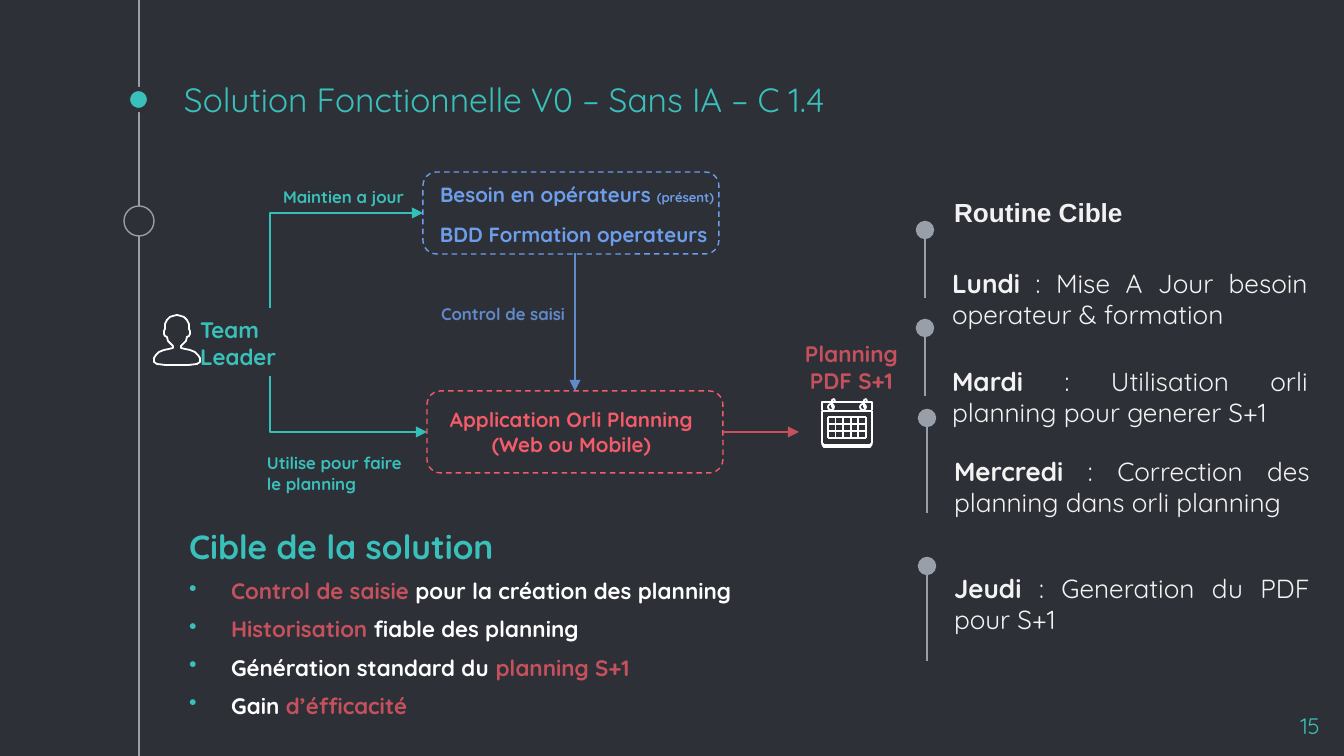
from lxml import etree
from pptx import Presentation
from pptx.dml.color import RGBColor
from pptx.enum.dml import MSO_LINE
from pptx.enum.shapes import MSO_CONNECTOR, MSO_SHAPE
from pptx.enum.text import MSO_ANCHOR, PP_ALIGN
from pptx.oxml.ns import qn
from pptx.util import Pt

PX = 914400 / 134.4
STRAIGHT, ELBOW = MSO_CONNECTOR.STRAIGHT, MSO_CONNECTOR.ELBOW
OVAL, ROUND_RECT = MSO_SHAPE.OVAL, MSO_SHAPE.ROUNDED_RECTANGLE
LEFT, CENTER, RIGHT, JUSTIFY = PP_ALIGN.LEFT, PP_ALIGN.CENTER, PP_ALIGN.RIGHT, PP_ALIGN.JUSTIFY
TOP, BOTTOM = MSO_ANCHOR.TOP, MSO_ANCHOR.BOTTOM
DASH = MSO_LINE.DASH
FONT = "Quicksand"
ICON_LINE = 0.96

COLORS = {
    "bg": "2E3037", "teal": "39C0BA", "arrow_teal": "34BFB9", "gray": "999FA9",
    "coral": "F35B69", "red": "C5515D", "blue": "6D9EEB", "arrow_blue": "618ACB",
    "white": "FFFFFF", "light": "F3F3F3", "heading": "F2F2F2",
}


def px(n):
    return round(n * PX)


def rgb(name):
    return RGBColor.from_string(COLORS[name])


def style_line(line, color, width):
    line.color.rgb = rgb(color)
    line.width = Pt(width)


def add_outline(slide, kind, box, color, width, fill=None, dash=None):
    sp = slide.shapes.add_shape(kind, *map(px, box))
    sp.shadow.inherit = False
    if fill:
        sp.fill.solid()
        sp.fill.fore_color.rgb = rgb(fill)
    else:
        sp.fill.background()
    style_line(sp.line, color, width)
    if dash:
        sp.line.dash_style = dash


def add_path(slide, points, close=False):
    """White icon stroke through points."""
    builder = slide.shapes.build_freeform(*points[0], scale=PX)
    builder.add_line_segments(points[1:], close=close)
    sp = builder.convert_to_shape()
    sp.shadow.inherit = False
    sp.fill.background()
    style_line(sp.line, "white", ICON_LINE)


def add_line(slide, start, end, color, width, head=None, size="med", kind=STRAIGHT):
    cxn = slide.shapes.add_connector(kind, *map(px, (*start, *end)))
    style_line(cxn.line, color, width)
    sp_pr = cxn.element.spPr
    if head:
        etree.SubElement(sp_pr.find(qn("a:ln")), qn("a:tailEnd"), type=head, w=size, len=size)
    etree.SubElement(sp_pr, qn("a:effectLst"))
    return cxn


def add_elbow(slide, start, end, color):
    """Arrow that runs vertically from start, then right to end."""
    (x0, y0), (x1, y1) = start, end
    cx, cy = (x0 + x1) / 2, (y0 + y1) / 2
    half_w, half_h = abs(y1 - y0) / 2, (x1 - x0) / 2
    up = y1 < y0
    if not up:
        half_h = -half_h
    cxn = add_line(slide, (cx + half_w, cy + half_h), (cx - half_w, cy - half_h),
                   color, 1, "triangle", kind=ELBOW)
    sp_pr = cxn.element.spPr
    sp_pr.find(qn("a:prstGeom")).set("prst", "bentConnector2")
    sp_pr.find(qn("a:xfrm")).set("rot", str((90 if up else 270) * 60000))


def add_run(p, text, size, color, bold=False, font=FONT):
    r = p.add_run()
    r.text = text
    r.font.name = font
    r.font.size = Pt(size)
    r.font.bold = bold
    r.font.color.rgb = rgb(color)


def add_text(slide, box, paragraphs, align=LEFT, anchor=TOP, inset=7):
    """Each paragraph is a list of add_run argument tuples."""
    tf = slide.shapes.add_textbox(*map(px, box)).text_frame
    tf.word_wrap = True
    tf.vertical_anchor = anchor
    tf.margin_left = tf.margin_right = px(13)
    tf.margin_top = tf.margin_bottom = px(inset)
    for i, runs in enumerate(paragraphs):
        p = tf.add_paragraph() if i else tf.paragraphs[0]
        p.alignment = align
        for run in runs:
            add_run(p, *run)
    return tf


def add_bullet(p):
    p_pr = p._p.get_or_add_pPr()
    p_pr.set("marL", str(px(42)))
    p_pr.set("indent", str(-px(42)))
    bu_clr = etree.SubElement(p_pr, qn("a:buClr"))
    etree.SubElement(bu_clr, qn("a:srgbClr"), val=COLORS["teal"])
    etree.SubElement(p_pr, qn("a:buChar"), char="•")
    p.space_before = Pt(6)


def add_person(slide):
    axis = 177
    half = [(0, 315), (4, 316), (7, 317), (10, 320), (12, 324), (12, 329), (13, 331),
            (13, 334), (12, 336), (10, 337), (9, 341), (6, 344), (4, 346), (4, 348),
            (8, 349), (13, 350), (18, 352), (21, 355), (23, 358), (23, 362),
            (20, 364), (12, 365), (0, 365)]
    right = [(axis + dx, y) for dx, y in half]
    left = [(axis - dx, y) for dx, y in half[-2:0:-1]]
    add_path(slide, right + left, close=True)


def add_calendar(slide):
    left, right = 822, 872
    add_path(slide, [(left, 410), (left, 402), (right, 402), (right, 410)])
    add_path(slide, [(left, 411), (left, 443), (824, 445), (870, 445), (right, 443),
                     (right, 411)], close=True)
    add_path(slide, [(left, 444), (824, 447), (870, 447), (right, 444)])
    for x in (828, 860):
        add_outline(slide, OVAL, (x, 404, 6, 6), "white", ICON_LINE)
        add_path(slide, [(x + 6, 407), (x + 4, 407), (x + 4, 400), (x + 6, 399), (x + 7, 401)])
    grid_left, grid_top, grid_w, grid_h = 828, 417, 38, 21
    for i in range(6):
        x = grid_left + i * grid_w / 5
        add_line(slide, (x, grid_top), (x, grid_top + grid_h), "white", ICON_LINE)
    for i in range(4):
        y = grid_top + i * grid_h / 3
        add_line(slide, (grid_left, y), (grid_left + grid_w, y), "white", ICON_LINE)


def add_flow(slide):
    add_outline(slide, ROUND_RECT, (427, 391, 296, 82), "coral", 0.75, dash=DASH)
    add_outline(slide, ROUND_RECT, (423, 172, 296, 82), "blue", 0.75, dash=DASH)
    add_person(slide)
    add_calendar(slide)
    add_elbow(slide, (270, 308), (423, 213), "arrow_teal")
    add_elbow(slide, (270, 376), (427, 432), "arrow_teal")
    add_line(slide, (723, 432), (799, 432), "red", 1, "triangle")
    add_line(slide, (575, 253), (575, 391), "arrow_blue", 1, "triangle")

    add_text(slide, (413, 400, 317, 63), [[("Application Orli Planning", 11, "coral", True)],
                                          [("(Web ou Mobile)", 11, "coral", True)]], CENTER)
    add_text(slide, (427, 175, 335, 39), [[("Besoin en opérateurs ", 11, "blue", True),
                                           ("(présent)", 7, "blue", True)]])
    add_text(slide, (769, 333, 165, 67), [[("Planning PDF S+1", 12, "red", True)]], CENTER)
    labels = [
        ((427, 215, 300, 39), "BDD Formation operateurs", 11, "blue"),
        ((187, 309, 150, 67), "Team Leader", 12, "teal"),
        ((270, 180, 152, 34), "Maintien a jour", 9, "teal"),
        ((428, 297, 157, 34), "Control de saisi", 9, "arrow_blue"),
        ((254, 446, 165, 54), "Utilise pour faire le planning", 9, "teal"),
    ]
    for box, text, size, color in labels:
        add_text(slide, box, [[(text, size, color, True)]])


def add_routine(slide):
    add_text(slide, (941, 183, 353, 75),
             [[("Routine Cible", 14, "heading", True, "Arial")]], inset=13)
    steps = [
        (925, 230, 298, 254, "Lundi", " : Mise A Jour besoin operateur & formation"),
        (925, 328, 396, 352, "Mardi", " : Utilisation orli planning pour generer S+1"),
        (927, 418, 513, 442, "Mercredi", " : Correction des planning dans orli planning"),
        (927, 566, 661, 559, "Jeudi", " : Generation du PDF pour S+1"),
    ]
    for x, dot_y, end_y, text_y, day, task in steps:
        add_line(slide, (x, end_y), (x, dot_y), "gray", 0.75, "oval", "lg")
        add_text(slide, (x + 14, text_y, 382, 75),
                 [[(day, 14, "light", True), (task, 14, "light")]], JUSTIFY, inset=13)


def add_goals(slide):
    goals = [
        [("Control de saisie ", "red"), ("pour la création des planning", "white")],
        [("Historisation", "red"), (" fiable des planning", "white")],
        [("Génération standard du ", "white"), ("planning S+1", "red")],
        [("Gain ", "white"), ("d’éfficacité", "red")],
    ]
    paragraphs = [[("Cible de la solution", 18, "teal", True)]]
    paragraphs += [[(text, 12, color, True) for text, color in goal] for goal in goals]
    tf = add_text(slide, (176, 513, 762, 220), paragraphs, inset=13)
    for p in tf.paragraphs[1:]:
        add_bullet(p)


def main():
    prs = Presentation()
    prs.slide_width, prs.slide_height = px(1344), px(756)
    slide = prs.slides.add_slide(prs.slide_layouts[6])
    slide.background.fill.solid()
    slide.background.fill.fore_color.rgb = rgb("bg")

    add_line(slide, (139, 0), (139, 756), "gray", 0.75)
    add_outline(slide, OVAL, (128, 89, 21, 21), "bg", 2.25, fill="teal")
    add_outline(slide, OVAL, (124, 206, 30, 30), "gray", 0.75, fill="bg")
    add_text(slide, (171, 81, 1008, 51),
             [[("Solution Fonctionnelle V0 – Sans IA – C 1.4", 18, "teal")]],
             anchor=BOTTOM, inset=13)
    add_text(slide, (1252, 699, 81, 46), [[("15", 12, "teal")]], RIGHT, inset=13)
    add_flow(slide)
    add_routine(slide)
    add_goals(slide)
    prs.save("out.pptx")


if __name__ == "__main__":
    main()
